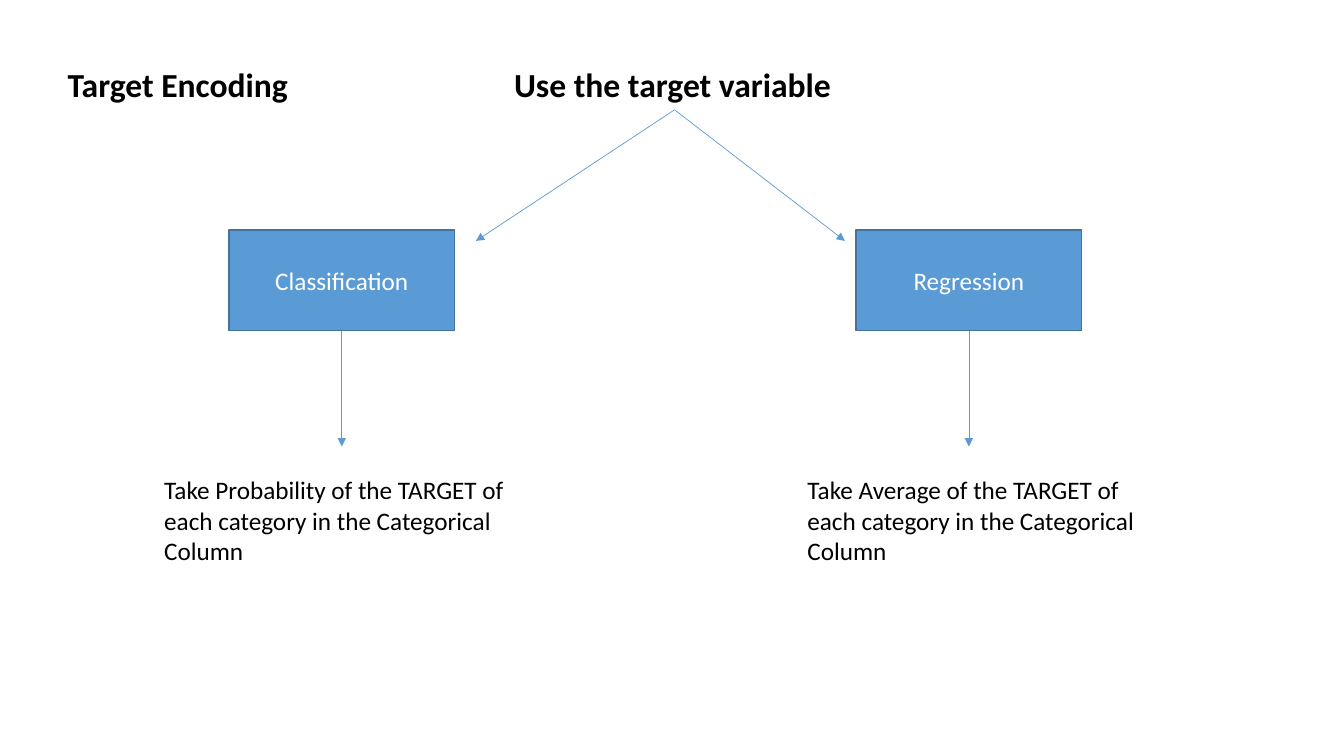
from pptx import Presentation
from pptx import util as u
from pptx.dml.color import RGBColor
from pptx.enum import shapes, text
from pptx.oxml.ns import qn
from lxml import etree

# The slide is a grid of 100 columns by 100 rows.
WIDTH, HEIGHT = u.Inches(13.33), u.Inches(7.5)
COLOURS = {"ink": "000000", "box": "5B9BD5", "edge": "43739E", "box_text": "FFFFFF"}
FONT = "Calibri"

HEADING_TOP, HEADING_HEIGHT = 7.73, 6.67
BOX_TOP, BOX_WIDTH, BOX_HEIGHT = 30.4, 16.8, 13.33
METHOD_TOP, METHOD_WIDTH, METHOD_HEIGHT = 62.13, 27.91, 13.47
FORK = (50.19, 14.53)
FORK_END_ROW, METHOD_ARROW_END = 31.87, 59.07

# Task, box column, fork arrow's end column, method column, method
BRANCHES = [
    ("Classification", 17.03, 35.41, 11.48,
     "Take Probability of the TARGET of each category in the Categorical Column"),
    ("Regression", 63.69, 62.87, 59.34,
     "Take Average of the TARGET of each category in the Categorical Column"),
]


def colour(name):
    return RGBColor.from_string(COLOURS[name])


def grid(*cells):
    """Turn alternating columns and rows into lengths."""
    return [round(cell * (HEIGHT if i % 2 else WIDTH) / 100)
            for i, cell in enumerate(cells)]


def write(shape, words, size, ink="ink", bold=False, align=text.PP_ALIGN.LEFT,
          anchor=text.MSO_ANCHOR.TOP, wrap=True):
    frame = shape.text_frame
    frame.text = words
    frame.word_wrap = wrap
    frame.vertical_anchor = anchor
    paragraph = frame.paragraphs[0]
    paragraph.alignment = align
    font = paragraph.font
    font.name, font.size, font.bold = FONT, u.Pt(size), bold
    font.color.rgb = colour(ink)


def format_heading(shape, words):
    write(shape, words, 24, bold=True, wrap=False)
    shape.text_frame.auto_size = text.MSO_AUTO_SIZE.SHAPE_TO_FIT_TEXT


def add_title(slide, words, column, width):
    title = slide.shapes.title
    title.left, title.top, title.width, title.height = grid(
        column, HEADING_TOP, width, HEADING_HEIGHT)
    format_heading(title, words)


def add_heading(slide, words, column, width):
    heading = slide.shapes.add_textbox(
        *grid(column, HEADING_TOP, width, HEADING_HEIGHT))
    format_heading(heading, words)


def add_task(slide, words, column):
    task = slide.shapes.add_shape(
        shapes.MSO_SHAPE.RECTANGLE, *grid(column, BOX_TOP, BOX_WIDTH, BOX_HEIGHT))
    task.shadow.inherit = False
    task.fill.solid()
    task.fill.fore_color.rgb = colour("box")
    task.line.color.rgb = colour("edge")
    task.line.width = u.Pt(1)
    write(task, words, 18, "box_text", align=text.PP_ALIGN.CENTER,
          anchor=text.MSO_ANCHOR.MIDDLE)


def add_method(slide, words, column):
    method = slide.shapes.add_textbox(
        *grid(column, METHOD_TOP, METHOD_WIDTH, METHOD_HEIGHT))
    write(method, words, 18)
    method.text_frame.auto_size = text.MSO_AUTO_SIZE.SHAPE_TO_FIT_TEXT


def add_arrow(slide, start, end):
    arrow = slide.shapes.add_connector(
        shapes.MSO_CONNECTOR.STRAIGHT, *grid(*start, *end))
    arrow.line.color.rgb = colour("box")
    arrow.line.width = u.Pt(0.5)
    etree.SubElement(arrow.line._get_or_add_ln(), qn("a:tailEnd"), type="triangle")
    etree.SubElement(arrow._element.spPr, qn("a:effectLst"))


def main():
    deck = Presentation()
    deck.slide_width, deck.slide_height = WIDTH, HEIGHT
    slide = deck.slides.add_slide(deck.slide_layouts.get_by_name("Title Only"))

    add_title(slide, "Target Encoding", 4.28, 18.08)
    add_heading(slide, "Use the target variable", 37.51, 25.36)
    for task, box_column, fork_column, method_column, method in BRANCHES:
        box_middle = box_column + BOX_WIDTH / 2
        add_task(slide, task, box_column)
        add_arrow(slide, FORK, (fork_column, FORK_END_ROW))
        add_arrow(slide, (box_middle, BOX_TOP + BOX_HEIGHT),
                  (box_middle, METHOD_ARROW_END))
        add_method(slide, method, method_column)

    deck.save("out.pptx")


if __name__ == "__main__":
    main()
